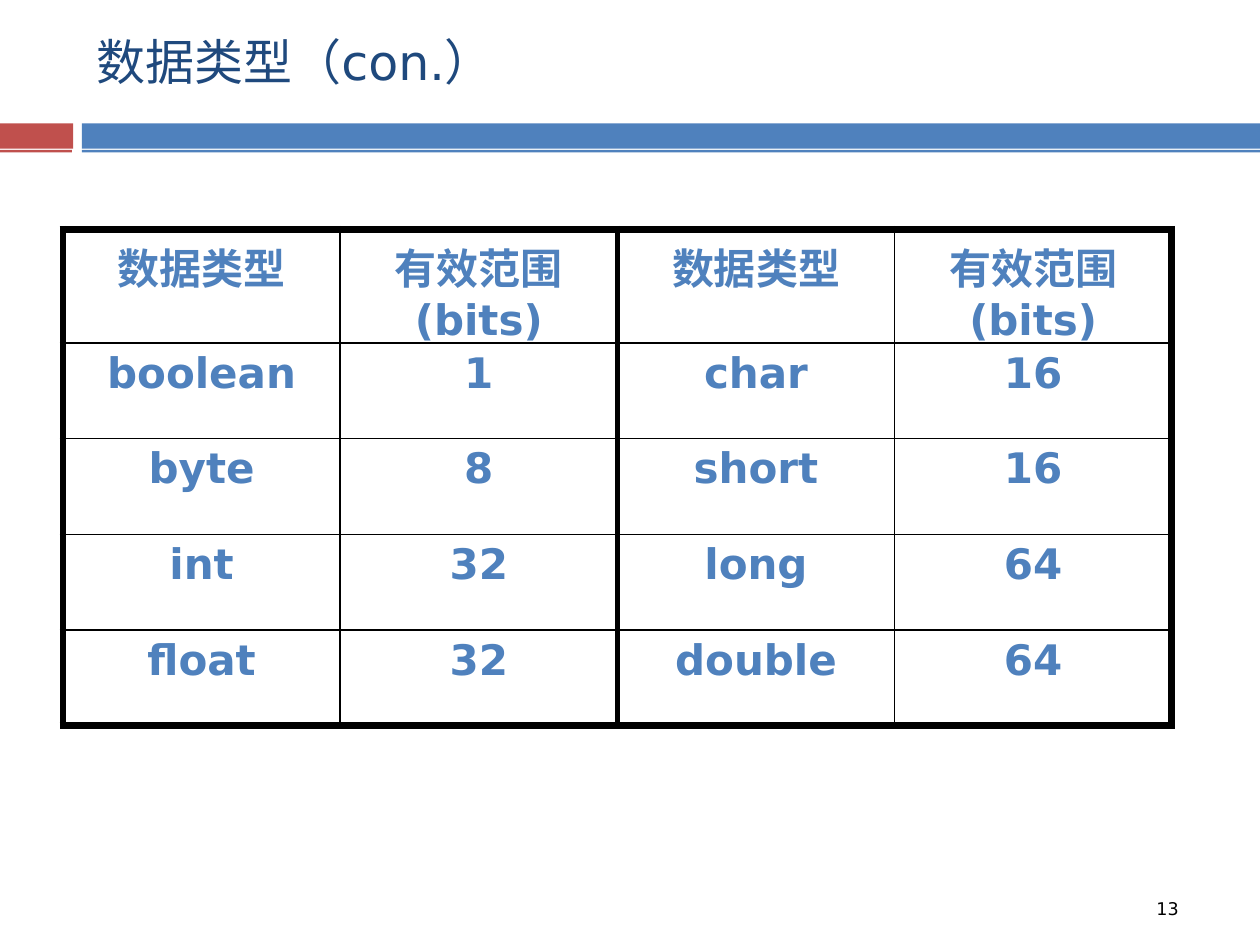
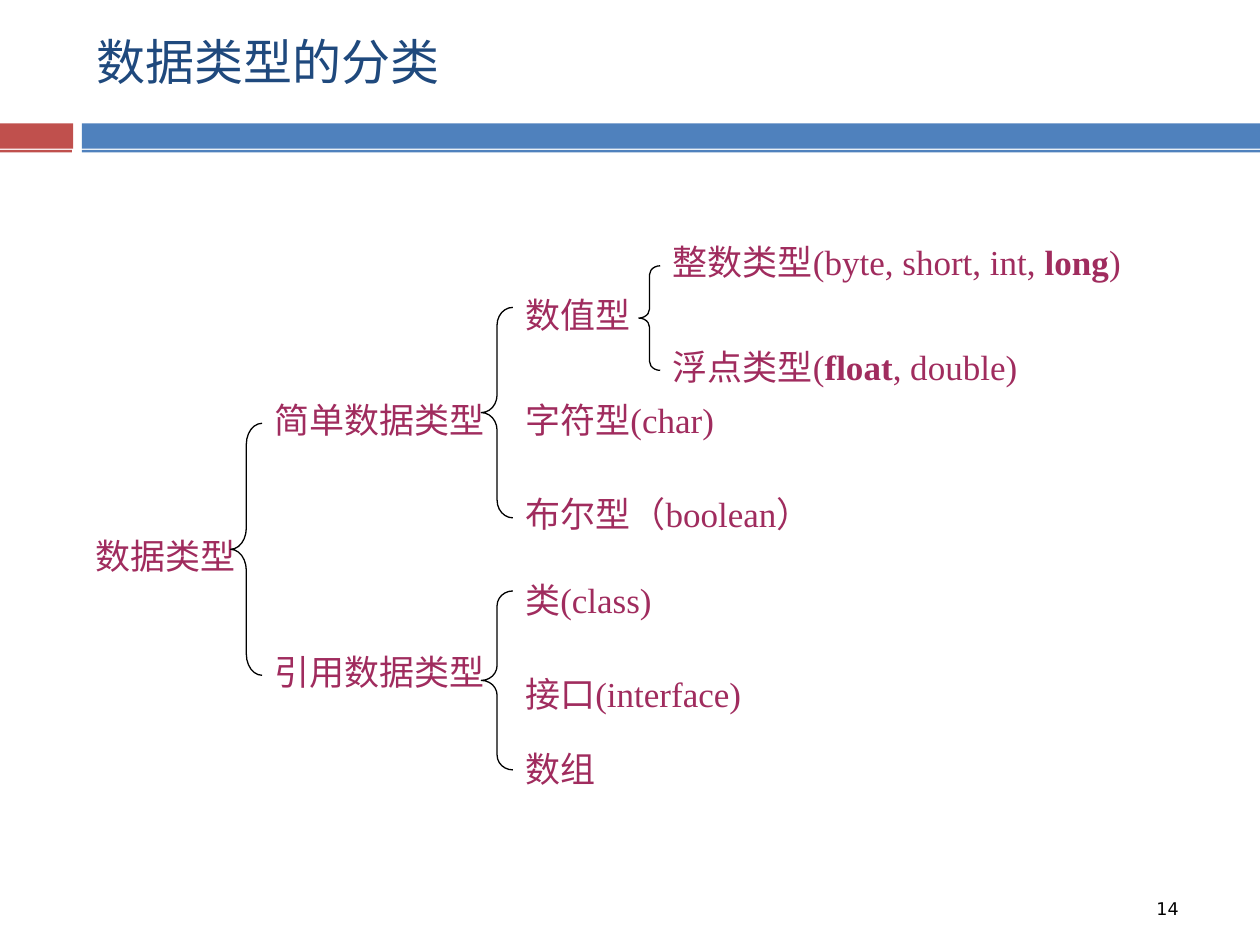
from dataclasses import dataclass
from typing import NamedTuple

from lxml import etree
from pptx import Presentation
from pptx.dml.color import RGBColor
from pptx.enum.shapes import MSO_SHAPE
from pptx.enum.text import MSO_ANCHOR, PP_ALIGN
from pptx.oxml.ns import qn
from pptx.util import Inches, Pt

RECTANGLE = MSO_SHAPE.RECTANGLE
LEFT_BRACE = MSO_SHAPE.LEFT_BRACE
TOP, MIDDLE = MSO_ANCHOR.TOP, MSO_ANCHOR.MIDDLE
CENTER = PP_ALIGN.CENTER


@dataclass(frozen=True)
class Theme:
    title: RGBColor = RGBColor(0x1F, 0x49, 0x7D)
    blue: RGBColor = RGBColor(0x4F, 0x81, 0xBD)
    red: RGBColor = RGBColor(0xC0, 0x50, 0x4D)
    label: RGBColor = RGBColor(0xA0, 0x2C, 0x5E)
    black: RGBColor = RGBColor(0, 0, 0)
    sans: str = "DejaVu Sans"
    serif: str = "Times New Roman"
    title_size: int = 28
    table_size: int = 24
    label_size: int = 20
    number_size: int = 10
    outer_border: float = 4.5
    middle_border: float = 3
    inner_border: float = 1
    brace_line: float = 0.75


THEME = Theme()


class Band(NamedTuple):
    left: float
    top: float
    width: float
    height: float
    color: RGBColor


class Label(NamedTuple):
    """A tree label; every second piece of its text is bold."""
    level: int
    top: float
    width: float
    pieces: tuple[str, ...]


class Brace(NamedTuple):
    """A brace that ends where the labels of its level begin."""
    level: int
    top: float
    width: float
    height: float
    curve: float


BANDS = (
    Band(0, 0.98, 0.58, 0.2, THEME.red),
    Band(0.65, 0.98, 9.35, 0.2, THEME.blue),
    Band(-0.01, 1.19, 0.58, 0.02, THEME.red),
    Band(0.65, 1.19, 9.35, 0.02, THEME.blue),
)

TYPE_ROWS = (
    ("数据类型", "有效范围(bits)") * 2,
    ("boolean", "1", "char", "16"),
    ("byte", "8", "short", "16"),
    ("int", "32", "long", "64"),
    ("float", "32", "double", "64"),
)
HEADER_HEIGHT, ROW_HEIGHT, COLUMN_WIDTH = 0.81, 0.76, 2.2

LEVEL_LEFTS = (0.66, 2.08, 4.07, 5.24)
LABEL_HEIGHT = 0.43
LABELS = (
    Label(0, 4.19, 1.75, ("数据类型",)),
    Label(1, 3.11, 2.13, ("简单数据类型",)),
    Label(1, 5.11, 2.13, ("引用数据类型",)),
    Label(2, 2.28, 1.32, ("数值型",)),
    Label(2, 3.11, 2, ("字符型(char)",)),
    Label(2, 3.86, 2.58, ("布尔型（boolean）",)),
    Label(2, 4.54, 1.67, ("类(class)",)),
    Label(2, 5.29, 2, ("接口(interface)",)),
    Label(2, 5.88, 2, ("数组",)),
    Label(3, 1.86, 4.1, ("整数类型(byte, short, int, ", "long", ")")),
    Label(3, 2.69, 3.58, ("浮点类型(", "float", ", double)")),
)
BRACES = (
    Brace(1, 3.36, 0.25, 2, 0.67),
    Brace(2, 2.44, 0.25, 1.67, 0.56),
    Brace(2, 4.69, 0.25, 1.42, 0.47),
    Brace(3, 2.11, 0.17, 0.83, 0.42),
)


def style_font(paragraph, name: str, size: float, color: RGBColor) -> None:
    font = paragraph.font
    font.name, font.size = name, Pt(size)
    font.color.rgb = color


def add_text(slide, left: float, top: float, width: float, height: float,
             pieces: tuple[str, ...], name: str, size: float,
             color: RGBColor, anchor: MSO_ANCHOR = TOP) -> None:
    text_frame = slide.shapes.add_textbox(
        Inches(left), Inches(top), Inches(width), Inches(height)).text_frame
    text_frame.word_wrap = True
    text_frame.vertical_anchor = anchor
    paragraph = text_frame.paragraphs[0]
    style_font(paragraph, name, size, color)
    for index, piece in enumerate(pieces):
        run = paragraph.add_run()
        run.text = piece
        if index % 2:
            run.font.bold = True


def add_base_slide(presentation, title: str, number: int):
    """Add a slide with the shared bands, title and page number."""
    slide = presentation.slides.add_slide(presentation.slide_layouts[6])
    for band in BANDS:
        shape = slide.shapes.add_shape(
            RECTANGLE, Inches(band.left), Inches(band.top),
            Inches(band.width), Inches(band.height))
        shape.shadow.inherit = False
        shape.fill.solid()
        shape.fill.fore_color.rgb = band.color
        shape.line.fill.background()
    add_text(slide, 0.67, 0.01, 8.92, 0.94, (title,), THEME.sans,
             THEME.title_size, THEME.title, MIDDLE)
    add_text(slide, 9.08, 7.08, 0.42, 0.37, (str(number),), THEME.sans,
             THEME.number_size, THEME.black)
    return slide


def set_borders(cell, widths: dict[str, float]) -> None:
    """Draw black cell borders; keys follow the schema order L, R, T, B."""
    properties = cell._tc.get_or_add_tcPr()
    for index, (side, width) in enumerate(widths.items()):
        line = etree.Element(qn(f"a:ln{side}"), w=str(Pt(width)))
        fill = etree.SubElement(line, qn("a:solidFill"))
        etree.SubElement(fill, qn("a:srgbClr"), val=str(THEME.black))
        properties.insert(index, line)


def add_type_table(slide) -> None:
    row_count, column_count = len(TYPE_ROWS), len(TYPE_ROWS[0])
    table = slide.shapes.add_table(
        row_count, column_count, Inches(0.5), Inches(1.82),
        Inches(COLUMN_WIDTH * column_count),
        Inches(HEADER_HEIGHT + ROW_HEIGHT * (row_count - 1))).table
    table.first_row = table.horz_banding = False
    for column in table.columns:
        column.width = Inches(COLUMN_WIDTH)

    outer, inner = THEME.outer_border, THEME.inner_border
    vertical = (outer, inner, THEME.middle_border, inner, outer)
    horizontal = (outer, *[inner] * (row_count - 1), outer)
    for row_index, values in enumerate(TYPE_ROWS):
        table.rows[row_index].height = Inches(
            ROW_HEIGHT if row_index else HEADER_HEIGHT)
        for column_index, value in enumerate(values):
            cell = table.cell(row_index, column_index)
            cell.text = value
            cell.fill.background()
            paragraph = cell.text_frame.paragraphs[0]
            paragraph.alignment = CENTER
            style_font(paragraph, THEME.sans, THEME.table_size, THEME.blue)
            paragraph.font.bold = True
            set_borders(cell, {
                "L": vertical[column_index], "R": vertical[column_index + 1],
                "T": horizontal[row_index], "B": horizontal[row_index + 1]})


def add_type_tree(slide) -> None:
    for label in LABELS:
        add_text(slide, LEVEL_LEFTS[label.level], label.top, label.width,
                 LABEL_HEIGHT, label.pieces, THEME.serif, THEME.label_size,
                 THEME.label)
    for brace in BRACES:
        shape = slide.shapes.add_shape(
            LEFT_BRACE, Inches(LEVEL_LEFTS[brace.level] - brace.width),
            Inches(brace.top), Inches(brace.width), Inches(brace.height))
        shape.adjustments[0] = brace.curve
        shape.shadow.inherit = False
        shape.fill.background()
        shape.line.color.rgb = THEME.black
        shape.line.width = Pt(THEME.brace_line)


def main() -> None:
    presentation = Presentation()
    presentation.slide_width = Inches(10)
    presentation.slide_height = Inches(7.5)
    add_type_table(add_base_slide(presentation, "数据类型（con.）", 13))
    add_type_tree(add_base_slide(presentation, "数据类型的分类", 14))
    presentation.save("out.pptx")


if __name__ == "__main__":
    main()
